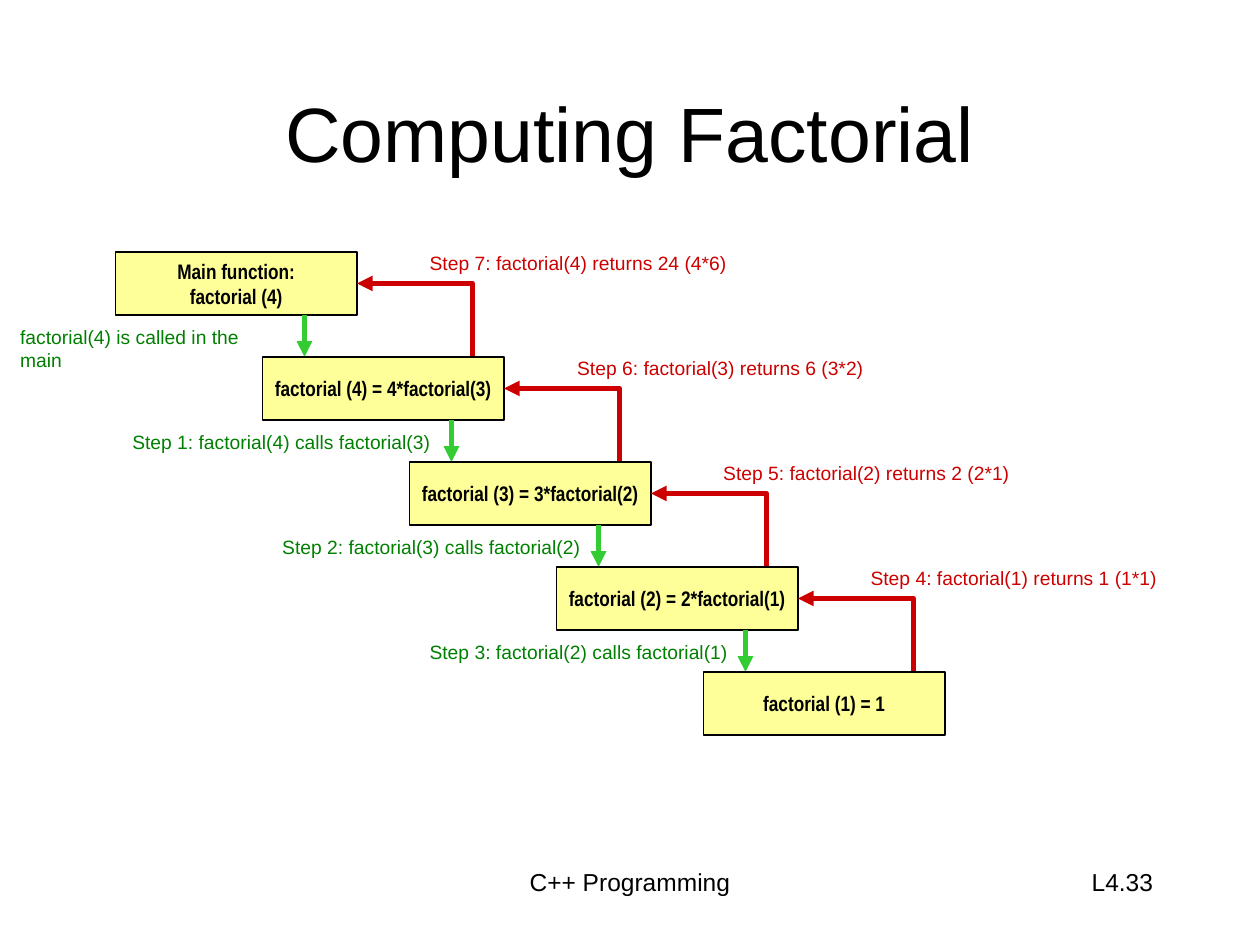
from lxml.etree import SubElement
from pptx import Presentation
from pptx.dml.color import RGBColor
from pptx.enum.shapes import MSO_CONNECTOR as Connector, MSO_SHAPE as Shape
from pptx.enum.text import MSO_ANCHOR as Anchor, MSO_AUTO_SIZE as AutoSize, PP_ALIGN as Align
from pptx.oxml.ns import qn
from pptx.util import Pt


def write(shape, text, size, color="000000", align=Align.CENTER, font="Arial", bold=False):
    paragraph = shape.text_frame.paragraphs[0]
    paragraph.text = text
    paragraph.alignment = align
    paragraph.font.name = font
    paragraph.font.size = Pt(size)
    paragraph.font.bold = bold
    paragraph.font.color.rgb = RGBColor.from_string(color)


def make_arrow(shape, color):
    shape.line.color.rgb = RGBColor.from_string(color)
    shape.line.width = Pt(3)
    SubElement(shape.line._get_or_add_ln(), qn("a:tailEnd"), type="triangle")


presentation = Presentation()
presentation.slide_width = Pt(720)
presentation.slide_height = Pt(540)
slide = presentation.slides.add_slide(presentation.slide_layouts[6])
shapes = slide.shapes

for text, left, top, width, height, size, align in [
    ("Computing Factorial", 54, 19.5, 612, 112, 44, Align.CENTER),
    ("C++ Programming", 210, 492, 300, 36, 14, Align.CENTER),
    ("L4.33", 516, 492, 150, 36, 14, Align.RIGHT),
]:
    box = shapes.add_textbox(Pt(left), Pt(top), Pt(width), Pt(height))
    box.text_frame.word_wrap = True
    if size == 44:
        box.text_frame.vertical_anchor = Anchor.MIDDLE
    write(box, text, size, align=align)

box_left, box_top, box_width, box_height = 66, 144, 138, 36
step_x, step_y = 84, 60

calls = [
    "Main function:\nfactorial (4)",
    "factorial (4) = 4*factorial(3)",
    "factorial (3) = 3*factorial(2)",
    "factorial (2) = 2*factorial(1)",
    "factorial (1) = 1",
]
for index, text in enumerate(calls):
    left, top = box_left + index * step_x, box_top + index * step_y
    box = shapes.add_shape(Shape.RECTANGLE, Pt(left), Pt(top), Pt(box_width), Pt(box_height))
    box.shadow.inherit = False
    box.fill.solid()
    box.fill.fore_color.rgb = RGBColor.from_string("FFFF99")
    box.line.color.rgb = RGBColor.from_string("000000")
    box.line.width = Pt(1)
    box.text_frame.word_wrap = False
    box.text_frame.vertical_anchor = Anchor.MIDDLE
    write(box, text, 12, font="Arial Narrow", bold=True)

    if index == len(calls) - 1:
        break

    call_x, next_top = left + 108, top + step_y
    call_arrow = shapes.add_connector(
        Connector.STRAIGHT, Pt(call_x), Pt(top + box_height), Pt(call_x), Pt(next_top))
    make_arrow(call_arrow, "33CC33")
    SubElement(call_arrow._element.spPr, qn("a:effectLst"))

    return_x, middle = left + 204, top + box_height / 2
    builder = shapes.build_freeform(Pt(return_x), Pt(next_top))
    builder.add_line_segments(
        [(Pt(return_x), Pt(middle)), (Pt(left + box_width), Pt(middle))], close=False)
    return_arrow = builder.convert_to_shape()
    return_arrow.shadow.inherit = False
    return_arrow.fill.background()
    make_arrow(return_arrow, "CC0000")

call_labels = [
    ("factorial(4) is called in the main", 11.5, 152),
    ("Step 1: factorial(4) calls factorial(3)", 75.6, 170.6),
    ("Step 2: factorial(3) calls factorial(2)", 161.3, 170.6),
    ("Step 3: factorial(2) calls factorial(1)", 245.5, 170.6),
]
return_labels = [
    ("Step 7: factorial(4) returns 24 (4*6)", 245.5, 170),
    ("Step 6: factorial(3) returns 6 (3*2)", 329.8, 168),
    ("Step 5: factorial(2) returns 2 (2*1)", 413.3, 164),
    ("Step 4: factorial(1) returns 1 (1*1)", 497.5, 164),
]
for labels, first_top, color in [(call_labels, 186, "008000"), (return_labels, 143.5, "CC0000")]:
    for index, (text, left, width) in enumerate(labels):
        label = shapes.add_textbox(Pt(left), Pt(first_top + index * step_y), Pt(width), Pt(13))
        frame = label.text_frame
        frame.margin_left = frame.margin_right = frame.margin_top = frame.margin_bottom = 0
        frame.word_wrap = False
        frame.auto_size = AutoSize.SHAPE_TO_FIT_TEXT
        write(label, text, 11, color, Align.LEFT)

presentation.save("out.pptx")
